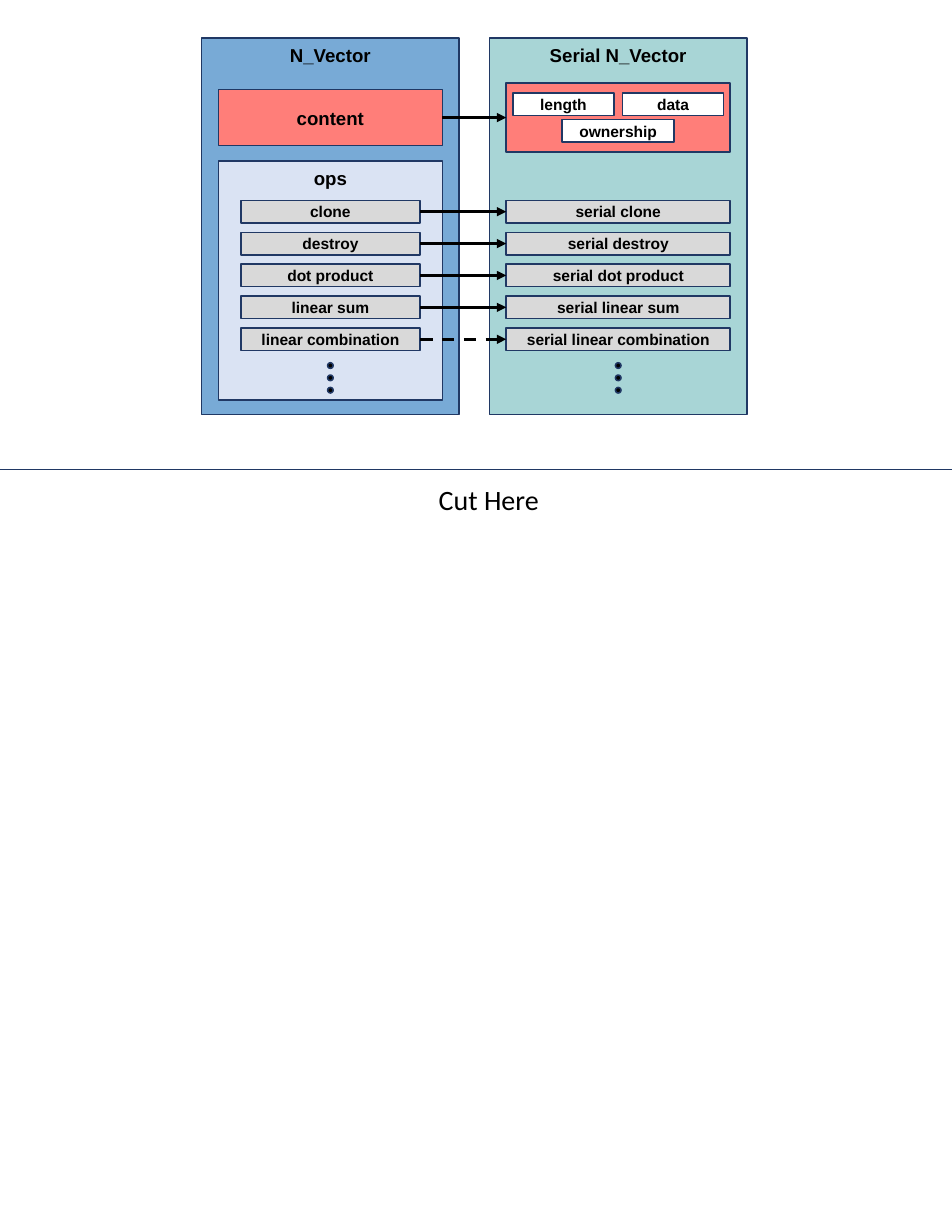
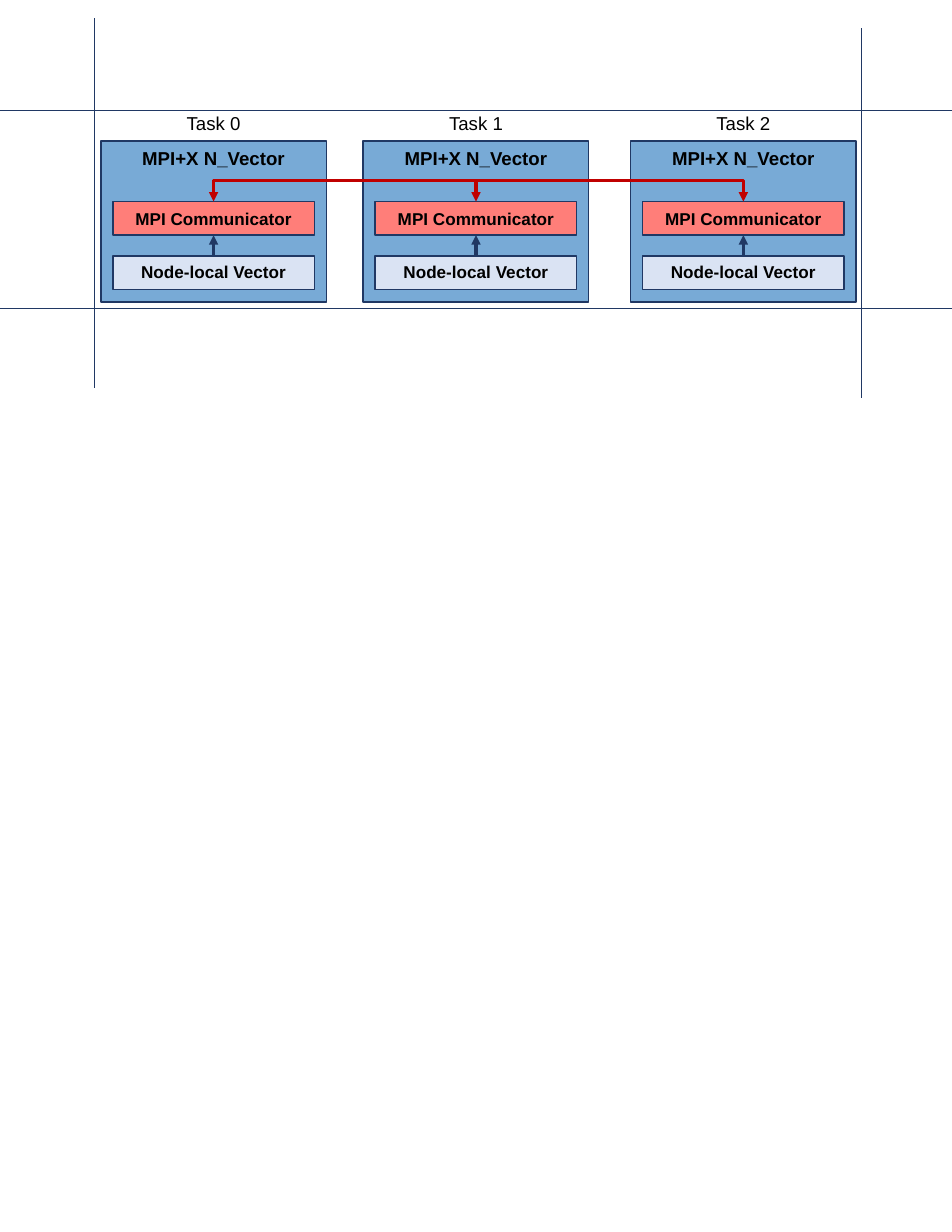
from pptx import Presentation
from pptx.dml.color import RGBColor
from pptx.enum.dml import MSO_LINE
from pptx.enum.shapes import MSO_CONNECTOR, MSO_SHAPE
from pptx.enum.text import MSO_ANCHOR, PP_ALIGN
from pptx.oxml.ns import qn
from pptx.util import Pt
from lxml.etree import SubElement

COLORS = {
    "navy": "203864", "blue": "78AAD6", "teal": "A8D5D6", "coral": "FF7E79",
    "pale": "DAE3F3", "gray": "D9D9D9", "white": "FFFFFF", "black": "000000",
    "red": "C00000",
}
PAGE_W, PAGE_H = 612, 792


def rgb(name):
    """Return the palette colour with this name."""
    return RGBColor.from_string(COLORS[name])


class Diagram:
    """Holds the shared style and the current slide; lengths are in points."""

    font = "Arial"

    def __init__(self, prs):
        self.prs = prs
        self.slide = None

    def new_slide(self):
        """Start a blank slide."""
        self.slide = self.prs.slides.add_slide(self.prs.slide_layouts[6])

    def set_text(self, tf, text, size, bold=False, font=None):
        """Put one centred line of black text in a frame."""
        tf.text = text
        p = tf.paragraphs[0]
        p.alignment = PP_ALIGN.CENTER
        r = p.runs[0]
        r.font.name = font or self.font
        r.font.size = Pt(size)
        r.font.bold = bold
        r.font.color.rgb = rgb("black")

    def box(self, x, y, w, h, fill, text="", size=12,
            anchor=MSO_ANCHOR.MIDDLE, kind=MSO_SHAPE.RECTANGLE):
        """Draw an outlined shape with an optional bold label."""
        sp = self.slide.shapes.add_shape(kind, Pt(x), Pt(y), Pt(w), Pt(h))
        sp.shadow.inherit = False
        sp.fill.solid()
        sp.fill.fore_color.rgb = rgb(fill)
        sp.line.color.rgb = rgb("navy")
        sp.line.width = Pt(1)
        if text:
            sp.text_frame.vertical_anchor = anchor
            self.set_text(sp.text_frame, text, size, bold=True)

    def panel(self, x, y, w, h, fill, text, size=12):
        """Draw a box with its label at the top."""
        self.box(x, y, w, h, fill, text, size, MSO_ANCHOR.TOP)

    def label(self, x, y, w, h, text, size, font=None):
        """Add a centred text box."""
        sp = self.slide.shapes.add_textbox(Pt(x), Pt(y), Pt(w), Pt(h))
        sp.text_frame.word_wrap = True
        self.set_text(sp.text_frame, text, size, font=font)

    def dots(self, center, y):
        """Draw a vertical ellipsis of three dots."""
        for i in range(3):
            self.box(center - 1.8, y + 7.92 * i, 3.6, 3.6, "black",
                     kind=MSO_SHAPE.OVAL)

    def line(self, x1, y1, x2, y2, color="navy", width=0.5,
             kind=MSO_CONNECTOR.STRAIGHT):
        """Draw a connector without shadow and return it."""
        cx = self.slide.shapes.add_connector(kind, Pt(x1), Pt(y1), Pt(x2), Pt(y2))
        cx.line.color.rgb = rgb(color)
        cx.line.width = Pt(width)
        SubElement(cx._element.spPr, qn("a:effectLst"))
        return cx

    def arrow(self, x1, y1, x2, y2, color="black", dashed=False, bent=False):
        """Draw an arrow, either straight or with a single right-angle bend."""
        kind = MSO_CONNECTOR.ELBOW if bent else MSO_CONNECTOR.STRAIGHT
        cx = self.line(x1, y1, x2, y2, color, 2, kind)
        if dashed:
            cx.line.dash_style = MSO_LINE.DASH
        props = cx._element.spPr
        if bent:
            props.find(qn("a:prstGeom")).set("prst", "bentConnector2")
        SubElement(props.find(qn("a:ln")), qn("a:tailEnd"), type="triangle")


def vector_slide(d):
    """Map the generic vector's content and operations to the serial one."""
    d.new_slide()
    panel_w, panel_y, panel_h = 165.6, 24.5, 241.9
    left, right = 129.6, 314.64
    inner_w, margin = 144, 10.8
    inner_left, inner_right = left + margin, right + margin
    op_x, op_w, op_h = 154.8, 115.2, 14.4
    op_y, op_step = 128.9, 20.5
    ops = ["clone", "destroy", "dot product", "linear sum", "linear combination"]

    d.panel(left, panel_y, panel_w, panel_h, "blue", "N_Vector")
    d.box(inner_left, 57.6, inner_w, 36, "coral", "content")
    d.panel(inner_left, 103.7, inner_w, 153.4, "pale", "ops")
    d.panel(right, panel_y, panel_w, panel_h, "teal", "Serial N_Vector")
    d.box(inner_right, 53.3, inner_w, 44.6, "coral")
    for x, y, w, text in [(329.8, 59.8, 64.8, "length"),
                          (400.3, 59.8, 64.8, "data"),
                          (361.4, 77, 72, "ownership")]:
        d.box(x, y, w, op_h, "white", text, 10)
    d.arrow(inner_left + inner_w, 75.6, inner_right, 75.6)

    for i, op in enumerate(ops):
        y = op_y + op_step * i
        mid = y + op_h / 2
        d.box(op_x, y, op_w, op_h, "gray", op, 10)
        d.box(inner_right, y, inner_w, op_h, "gray", f"serial {op}", 10)
        d.arrow(op_x + op_w, mid, inner_right, mid, dashed=op == ops[-1])
    for x in (left, right):
        d.dots(x + panel_w / 2, 233.2)

    d.line(0, 301.7, PAGE_W, 301.7)
    d.label(226, 306.7, 176.4, 29, "Cut Here", 18, font="Calibri")


def mpi_slide(d):
    """Show three MPI tasks joined through their communicators."""
    d.new_slide()
    task_w, inner_w, inner_h = 145, 129.6, 21.6
    comm_y, node_y, bus_y = 129.6, 164.7, 115.9
    centers = [137.3, 306, 477.9]
    hub = centers[1]

    for i, center in enumerate(centers):
        inner_x = center - inner_w / 2
        d.panel(center - task_w / 2, 90.6, task_w, 103.7, "blue", "MPI+X N_Vector")
        d.box(inner_x, comm_y, inner_w, inner_h, "coral", "MPI Communicator", 11)
        d.panel(inner_x, node_y, inner_w, inner_h, "pale", "Node-local Vector", 11)
        d.label(center - 30, 68.6, 60, 21.6, f"Task {i}", 12)
        d.arrow(center, node_y, center, comm_y + inner_h, "navy")
    for center in centers:
        d.arrow(hub, bus_y, center, comm_y, "red", bent=center != hub)

    for y in (70.7, 198.2):
        d.line(0, y, PAGE_W, y)
    for x, top in [(61, 11.6), (553.9, 18)]:
        d.line(x, top + 237.6, x, top)


prs = Presentation()
prs.slide_width, prs.slide_height = Pt(PAGE_W), Pt(PAGE_H)
diagram = Diagram(prs)
vector_slide(diagram)
mpi_slide(diagram)
prs.save("out.pptx")
